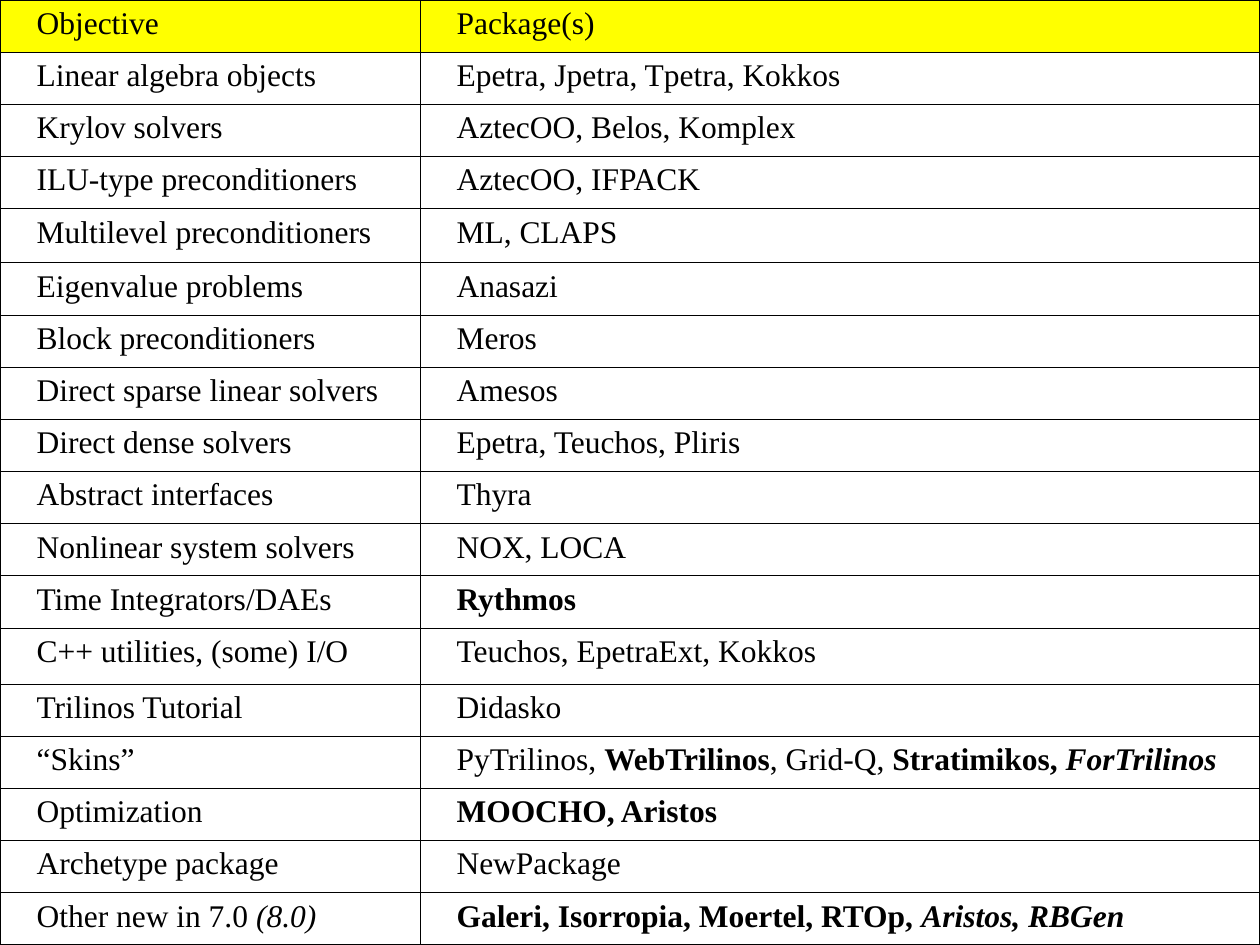
from dataclasses import dataclass

from lxml import etree
from pptx import Presentation
from pptx.dml.color import RGBColor
from pptx.oxml.ns import qn
from pptx.util import Emu, Pt

# Content: each cell is a list of (text, style) runs, or plain text
PLAIN, BOLD, ITALIC, BOLD_ITALIC = "", "b", "i", "bi"
ROWS = [
    ("Objective", "Package(s)"),
    ("Linear algebra objects", "Epetra, Jpetra, Tpetra, Kokkos"),
    ("Krylov solvers", "AztecOO, Belos, Komplex"),
    ("ILU-type preconditioners", "AztecOO, IFPACK"),
    ("Multilevel preconditioners", "ML, CLAPS"),
    ("Eigenvalue problems", "Anasazi"),
    ("Block preconditioners", "Meros"),
    ("Direct sparse linear solvers", "Amesos"),
    ("Direct dense solvers", "Epetra, Teuchos, Pliris"),
    ("Abstract interfaces", "Thyra"),
    ("Nonlinear system solvers", "NOX, LOCA"),
    ("Time Integrators/DAEs", [("Rythmos", BOLD)]),
    ("C++ utilities, (some) I/O", "Teuchos, EpetraExt, Kokkos"),
    ("Trilinos Tutorial", "Didasko"),
    ("“Skins”", [
        ("PyTrilinos, ", PLAIN), ("WebTrilinos", BOLD), (", Grid-Q, ", PLAIN),
        ("Stratimikos, ", BOLD), ("ForTrilinos", BOLD_ITALIC),
    ]),
    ("Optimization", [("MOOCHO, Aristos", BOLD)]),
    ("Archetype package", "NewPackage"),
    ([("Other new in 7.0 ", PLAIN), ("(8.0)", ITALIC)], [
        ("Galeri, Isorropia, Moertel, RTOp, ", BOLD),
        ("Aristos, RBGen", BOLD_ITALIC),
    ]),
]


@dataclass(frozen=True)
class Theme:
    font: str = "Times New Roman"
    size: float = 18
    text: str = "000000"
    border: str = "000000"
    header: str = "FFFF00"
    outer_line: float = 1.08
    inner_line: float = 0.45


THEME = Theme()

# Layout in px
SLIDE_WIDTH, SLIDE_HEIGHT = 1260, 945
COLUMN_WIDTHS = (420, 840)
TALL_ROWS = {4: 54, 12: 56}
TEXT_INDENT = 24
REGULAR_ROW = (SLIDE_HEIGHT - sum(TALL_ROWS.values())) / (len(ROWS) - len(TALL_ROWS))


def px(value):
    return Emu(round(value * 914400 / 126))


def add_border(cell, side, width):
    line = etree.SubElement(cell._tc.get_or_add_tcPr(), qn(f"a:ln{side}"), w=str(Pt(width)))
    fill = etree.SubElement(line, qn("a:solidFill"))
    etree.SubElement(fill, qn("a:srgbClr"), val=THEME.border)


def write_cell(cell, content):
    paragraph = cell.text_frame.paragraphs[0]
    paragraph._p.get_or_add_pPr().set("marL", str(px(TEXT_INDENT)))
    runs = [(content, PLAIN)] if isinstance(content, str) else content
    for text, style in runs:
        run = paragraph.add_run()
        run.text = text
        run.font.name = THEME.font
        run.font.size = Pt(THEME.size)
        run.font.color.rgb = RGBColor.from_string(THEME.text)
        run.font.bold = "b" in style
        run.font.italic = "i" in style


def style_cell(cell, row, column):
    on_edge = {
        "L": column == 0,
        "R": column == len(COLUMN_WIDTHS) - 1,
        "T": row == 0,
        "B": row == len(ROWS) - 1,
    }
    for side, outer in on_edge.items():
        add_border(cell, side, THEME.outer_line if outer else THEME.inner_line)
    if row == 0:
        cell.fill.solid()
        cell.fill.fore_color.rgb = RGBColor.from_string(THEME.header)
    else:
        cell.fill.background()


def main():
    presentation = Presentation()
    presentation.slide_width = px(SLIDE_WIDTH)
    presentation.slide_height = px(SLIDE_HEIGHT)
    slide = presentation.slides.add_slide(presentation.slide_layouts[6])

    # Package table fills the slide
    table = slide.shapes.add_table(
        len(ROWS), len(COLUMN_WIDTHS), 0, 0, px(SLIDE_WIDTH), px(SLIDE_HEIGHT)
    ).table
    table.first_row = False
    table.horz_banding = False
    for column, width in enumerate(COLUMN_WIDTHS):
        table.columns[column].width = px(width)
    for row, contents in enumerate(ROWS):
        table.rows[row].height = px(TALL_ROWS.get(row, REGULAR_ROW))
        for column, content in enumerate(contents):
            cell = table.cell(row, column)
            write_cell(cell, content)
            style_cell(cell, row, column)

    presentation.save("out.pptx")


if __name__ == "__main__":
    main()
